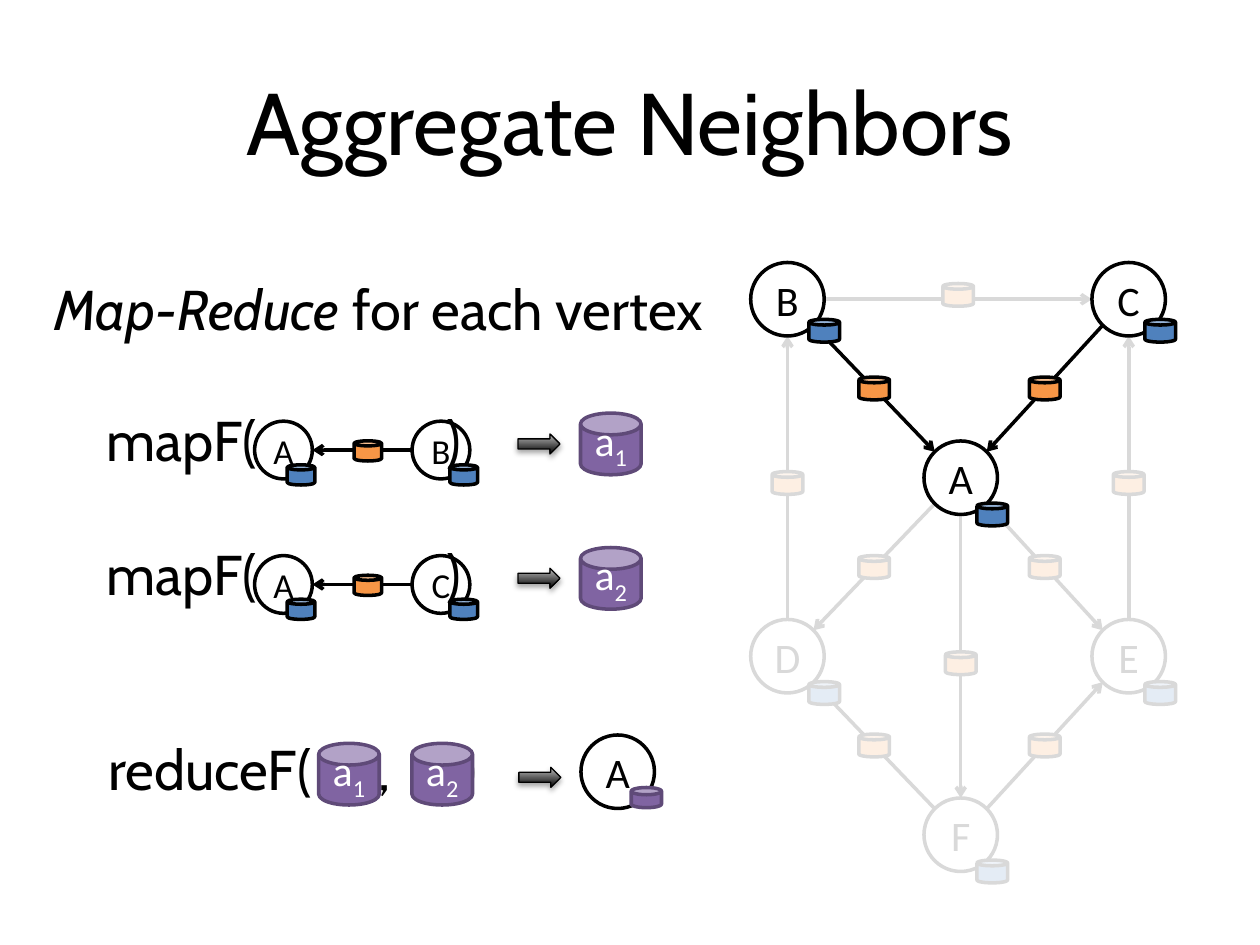
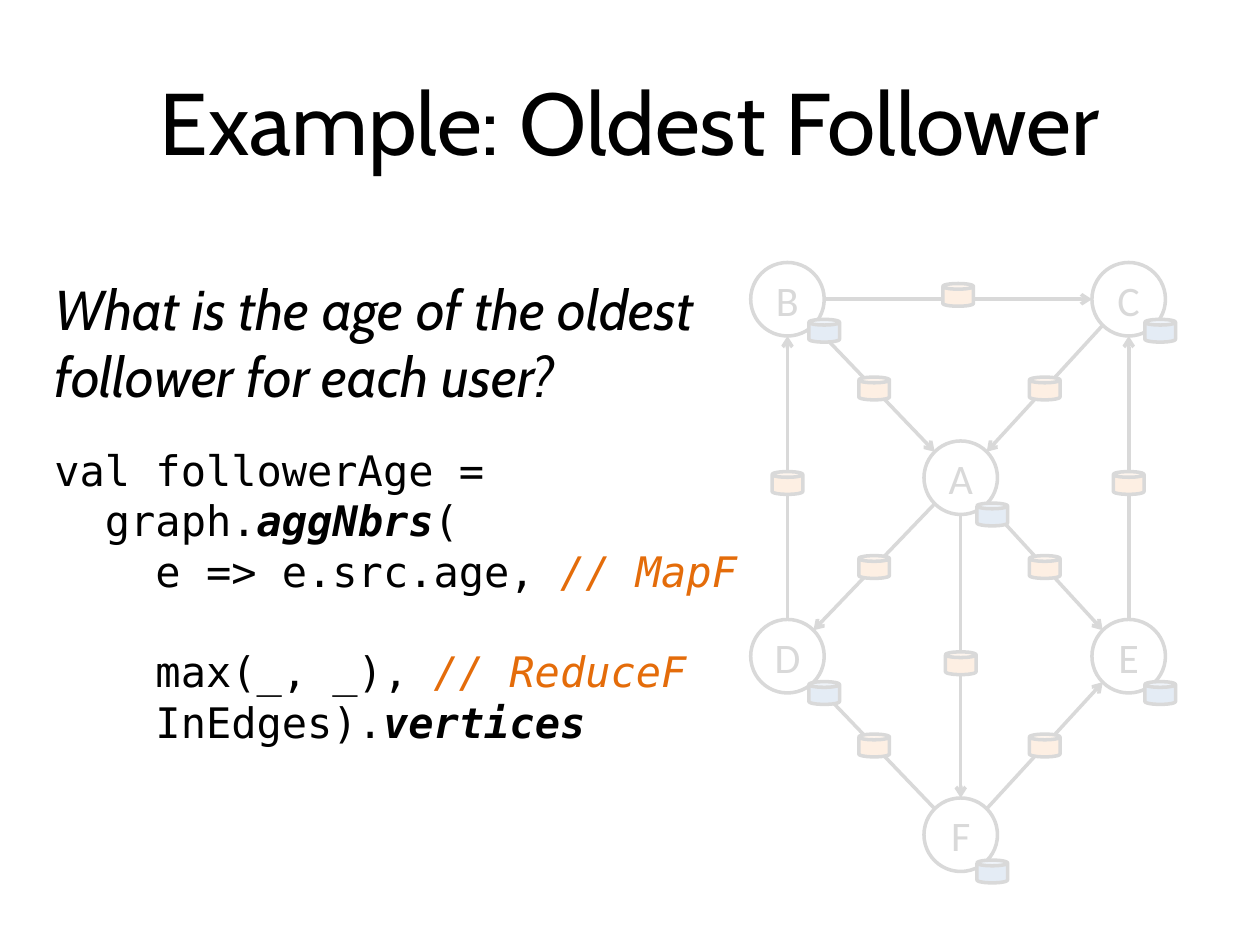
from lxml.etree import SubElement
from pptx import Presentation
from pptx.dml.color import RGBColor
from pptx.enum.shapes import MSO_CONNECTOR, MSO_SHAPE
from pptx.enum.text import MSO_ANCHOR, PP_ALIGN
from pptx.oxml.ns import qn
from pptx.util import Pt

BLACK = RGBColor(0x00, 0x00, 0x00)
WHITE = RGBColor(0xFF, 0xFF, 0xFF)
SILVER = RGBColor(0xBD, 0xBD, 0xBD)
BLUE = RGBColor(0x4F, 0x81, 0xBD)
ORANGE = RGBColor(0xF7, 0x96, 0x46)
COMMENT_ORANGE = RGBColor(0xE4, 0x6C, 0x0A)
PURPLE = RGBColor(0x80, 0x64, 0xA2)
DARK_PURPLE = RGBColor(0x5F, 0x4A, 0x78)

HEADING_FONT = "Cabin"
LABEL_FONT = "Calibri"
CODE_FONT = "DejaVu Sans Mono"

VERTEX_SIZE = 42
VERTEX_CAN = (17.5, 13)
ROW_VERTEX_SIZE = 33
ROW_CAN = (15.8, 11.5)
RESULT_CAN = (34.6, 35.3)
RESULT_CAN_RIM = 0.359

VERTICES = {
    "A": (549, 273, 18, 21),
    "B": (450, 171, 21, 18),
    "C": (645, 171, 18, 18),
    "D": (450, 375, 21, 21),
    "E": (645, 375, 18, 21),
    "F": (549, 477, 18, 21),
}
EDGES = {
    "BC": -2.5, "DB": 3, "AE": 0, "EC": 3, "AD": 0,
    "AF": 4, "FD": 0, "FE": 0, "BA": 0, "CA": 0,
}
NEIGHBOR_EDGES = ["BA", "CA"]


def sign(value):
    return (value > 0) - (value < 0)


class SlideBuilder:
    def __init__(self):
        self.deck = Presentation()
        self.deck.slide_width = Pt(720)
        self.deck.slide_height = Pt(540)
        self.page = None

    def new_page(self, title):
        self.page = self.deck.slides.add_slide(self.deck.slide_layouts[5])
        box = self.page.shapes.title
        box.left, box.top, box.width, box.height = Pt(36), Pt(24), Pt(648), Pt(90)
        box.text_frame.vertical_anchor = MSO_ANCHOR.MIDDLE
        box.text_frame.text = title
        paragraph = box.text_frame.paragraphs[0]
        paragraph.alignment = PP_ALIGN.CENTER
        self.font(paragraph, HEADING_FONT, 50)

    def font(self, paragraph, name, size, color=BLACK):
        paragraph.font.name = name
        paragraph.font.size = Pt(size)
        paragraph.font.color.rgb = color

    def spans(self, paragraph, pieces):
        for text, bold, italic, color in pieces:
            span = paragraph.add_run()
            span.text = text
            span.font.bold = bold
            span.font.italic = italic
            if color is not None:
                span.font.color.rgb = color

    def text(self, left, top, width, height):
        box = self.page.shapes.add_textbox(Pt(left), Pt(top), Pt(width), Pt(height))
        box.text_frame.word_wrap = True
        return box.text_frame

    def call_text(self, text, left, top, stops):
        paragraph = self.text(left, top, 260, 44).paragraphs[0]
        paragraph.text = text
        tabs = SubElement(paragraph._p.get_or_add_pPr(), qn("a:tabLst"))
        for stop in stops:
            SubElement(tabs, qn("a:tab"), pos=str(Pt(stop)), algn="l")
        self.font(paragraph, HEADING_FONT, 32)

    def shape(self, kind, x, y, width, height, fill=None, line=BLACK, weight=2):
        shape = self.page.shapes.add_shape(
            kind, Pt(x - width / 2), Pt(y - height / 2), Pt(width), Pt(height))
        shape.shadow.inherit = False
        if fill is None:
            shape.fill.background()
        else:
            shape.fill.solid()
            shape.fill.fore_color.rgb = fill
        if line is None:
            shape.line.fill.background()
        else:
            shape.line.color.rgb = line
            shape.line.width = Pt(weight)
        return shape

    def label(self, shape, text, size, color=BLACK, bottom=0):
        frame = shape.text_frame
        frame.margin_left = frame.margin_top = frame.margin_right = 0
        frame.margin_bottom = Pt(bottom)
        frame.vertical_anchor = MSO_ANCHOR.MIDDLE
        paragraph = frame.paragraphs[0]
        paragraph.text = text
        paragraph.alignment = PP_ALIGN.CENTER
        self.font(paragraph, LABEL_FONT, size, color)
        return paragraph

    def vertex(self, name, x, y, size=VERTEX_SIZE, font_size=24):
        circle = self.shape(MSO_SHAPE.OVAL, x, y, size, size)
        self.label(circle, name, font_size)

    def can(self, x, y, size, fill):
        return self.shape(MSO_SHAPE.CAN, x, y, *size, fill)

    def purple_can(self, x, y, size):
        can = self.shape(MSO_SHAPE.CAN, x, y, *size, PURPLE, DARK_PURPLE)
        can.adjustments[0] = RESULT_CAN_RIM
        return can

    def result_can(self, index, x, y):
        can = self.purple_can(x, y, RESULT_CAN)
        paragraph = self.label(can, "a", 24, WHITE, 7.2)
        span = paragraph.add_run()
        span.text = index
        span._r.get_or_add_rPr().set("baseline", "-25000")

    def arrow(self, x1, y1, x2, y2):
        line = self.page.shapes.add_connector(
            MSO_CONNECTOR.STRAIGHT, Pt(x1), Pt(y1), Pt(x2), Pt(y2))
        line.line.color.rgb = BLACK
        line.line.width = Pt(2)
        SubElement(line.line._get_or_add_ln(), qn("a:tailEnd"), type="arrow")
        SubElement(line._element.spPr, qn("a:effectLst"))

    def block_arrow(self, x, y):
        arrow = self.shape(MSO_SHAPE.RIGHT_ARROW, x, y, 24, 11.5, BLACK, BLACK, 0.75)
        arrow.fill.gradient()
        arrow.fill.gradient_angle = 90
        for stop, color in zip(arrow.fill.gradient_stops, (BLACK, SILVER)):
            stop.color.rgb = color
        effects = arrow._element.spPr.find(qn("a:effectLst"))
        shadow = SubElement(effects, qn("a:outerShdw"), blurRad=str(Pt(3.1)),
                            dist=str(Pt(1.8)), dir="5400000", rotWithShape="0")
        color = SubElement(shadow, qn("a:srgbClr"), val=str(BLACK))
        SubElement(color, qn("a:alpha"), val="35000")

    def edge(self, start, end):
        x1, y1 = VERTICES[start][:2]
        x2, y2 = VERTICES[end][:2]
        across, down = sign(x2 - x1), sign(y2 - y1)
        reach = VERTEX_SIZE / 2 * (0.707 if across and down else 1)
        self.arrow(x1 + across * reach, y1 + down * reach,
                   x2 - across * reach, y2 - down * reach)

    def graph(self, names, edges):
        for start, end in edges:
            self.edge(start, end)
        for name in names:
            x, y, across, down = VERTICES[name]
            self.vertex(name, x, y)
            self.can(x + across, y + down, VERTEX_CAN, BLUE)
        for start, end in edges:
            x1, y1 = VERTICES[start][:2]
            x2, y2 = VERTICES[end][:2]
            self.can((x1 + x2) / 2, (y1 + y2) / 2 + EDGES[start + end], VERTEX_CAN, ORANGE)

    def veil(self):
        cover = self.shape(MSO_SHAPE.RECTANGLE, 549, 327, 258, 378, WHITE, None)
        color = cover._element.spPr.find(qn("a:solidFill")).find(qn("a:srgbClr"))
        SubElement(color, qn("a:alpha"), val="85000")

    def map_row(self, neighbor, index, y):
        target_x, neighbor_x = 162, 252
        radius = ROW_VERTEX_SIZE / 2
        self.call_text("mapF(\t)", 54, y - 29, [194])
        self.arrow(neighbor_x - radius, y, target_x + radius, y)
        for name, x, can_x in (("A", target_x, 172), (neighbor, neighbor_x, 265)):
            self.vertex(name, x, y, ROW_VERTEX_SIZE, 20)
            self.can(can_x, y + 14.2, ROW_CAN, BLUE)
        self.can(210.2, y + 0.5, ROW_CAN, ORANGE)
        self.block_arrow(308, y - 3.5)
        self.result_can(index, 349, y - 3.5)

    def reduce_row(self, y):
        self.call_text("reduceF(\t,\t)", 55, y - 25, [154, 202])
        for index, x in (("1", 199.4), ("2", 252.7)):
            self.result_can(index, x, y + 1.4)
        self.block_arrow(308.5, y + 3.2)
        self.vertex("A", 353, y)
        self.purple_can(369.4, y + 14.8, (17.3, 11.5))


def aggregate_neighbors(builder):
    builder.new_page("Aggregate Neighbors")
    paragraph = builder.text(24, 153.5, 426, 56).paragraphs[0]
    builder.font(paragraph, HEADING_FONT, 32)
    builder.spans(paragraph, [("Map-Reduce", None, True, None),
                              (" for each vertex", None, None, None)])
    builder.graph("DEF", [edge for edge in EDGES if edge not in NEIGHBOR_EDGES])
    builder.veil()
    builder.graph("BAC", NEIGHBOR_EDGES)
    for row, neighbor in enumerate("BC"):
        builder.map_row(neighbor, str(row + 1), 257.2 + row * 76.8)
    builder.reduce_row(441)


def oldest_follower(builder):
    builder.new_page("Example: Oldest Follower")
    builder.graph(VERTICES, EDGES)
    builder.veil()
    frame = builder.text(24, 153.5, 426, 338)
    question = frame.paragraphs[0]
    question.text = "What is the age of the oldest follower for each user?"
    builder.font(question, HEADING_FONT, 32)
    question.font.italic = True
    code_lines = [
        (20, [("val followerAge =", None, None, None)]),
        (0, [("  graph.", None, None, None), ("aggNbrs", True, True, None),
             ("(", None, None, None)]),
        (0, [("    e => e.src.age, ", None, None, None),
             ("// MapF", None, True, COMMENT_ORANGE)]),
        (28.8, [("    max(_, _),", None, None, None),
                (" // ReduceF", None, True, COMMENT_ORANGE)]),
        (0, [("    InEdges).", None, None, None), ("vertices", True, True, None)]),
    ]
    for space, pieces in code_lines:
        paragraph = frame.add_paragraph()
        paragraph.space_before = Pt(space)
        paragraph.line_spacing = Pt(28.8)
        builder.font(paragraph, CODE_FONT, 24)
        builder.spans(paragraph, pieces)


def main():
    builder = SlideBuilder()
    aggregate_neighbors(builder)
    oldest_follower(builder)
    builder.deck.save("out.pptx")


if __name__ == "__main__":
    main()
